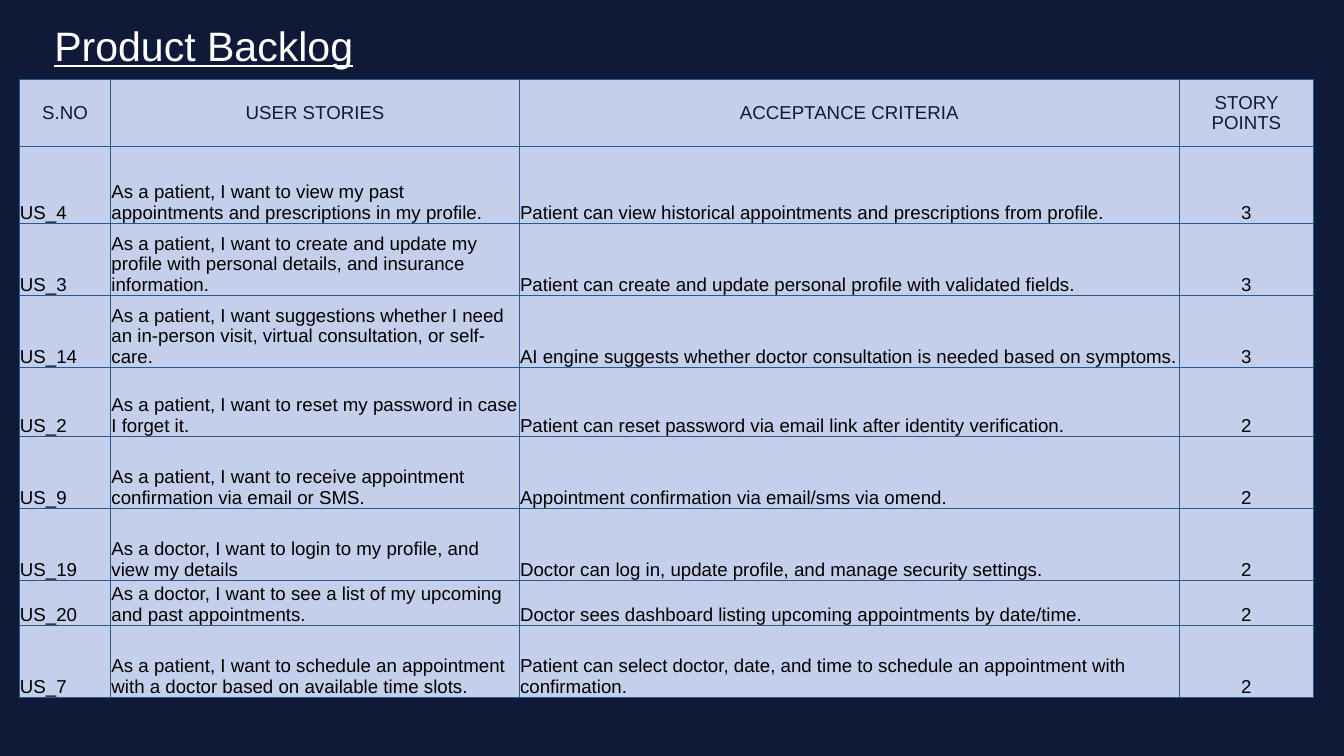
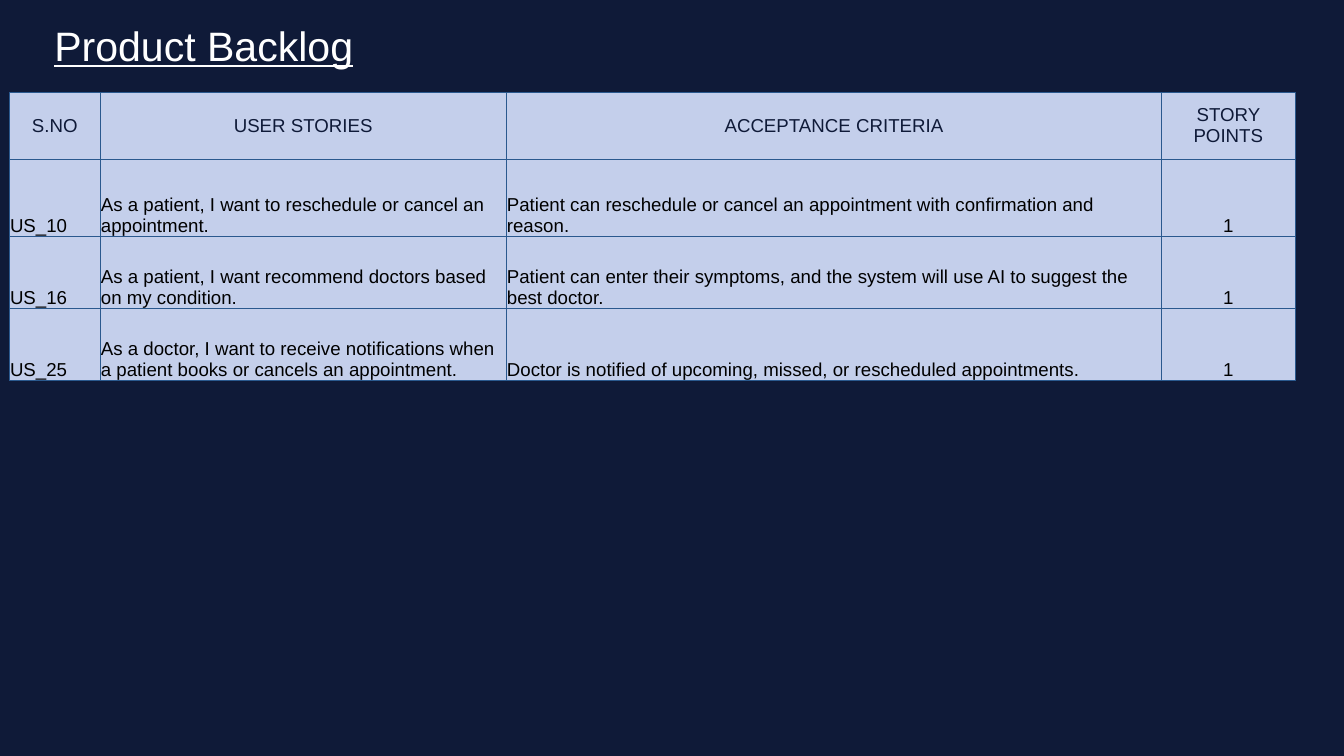
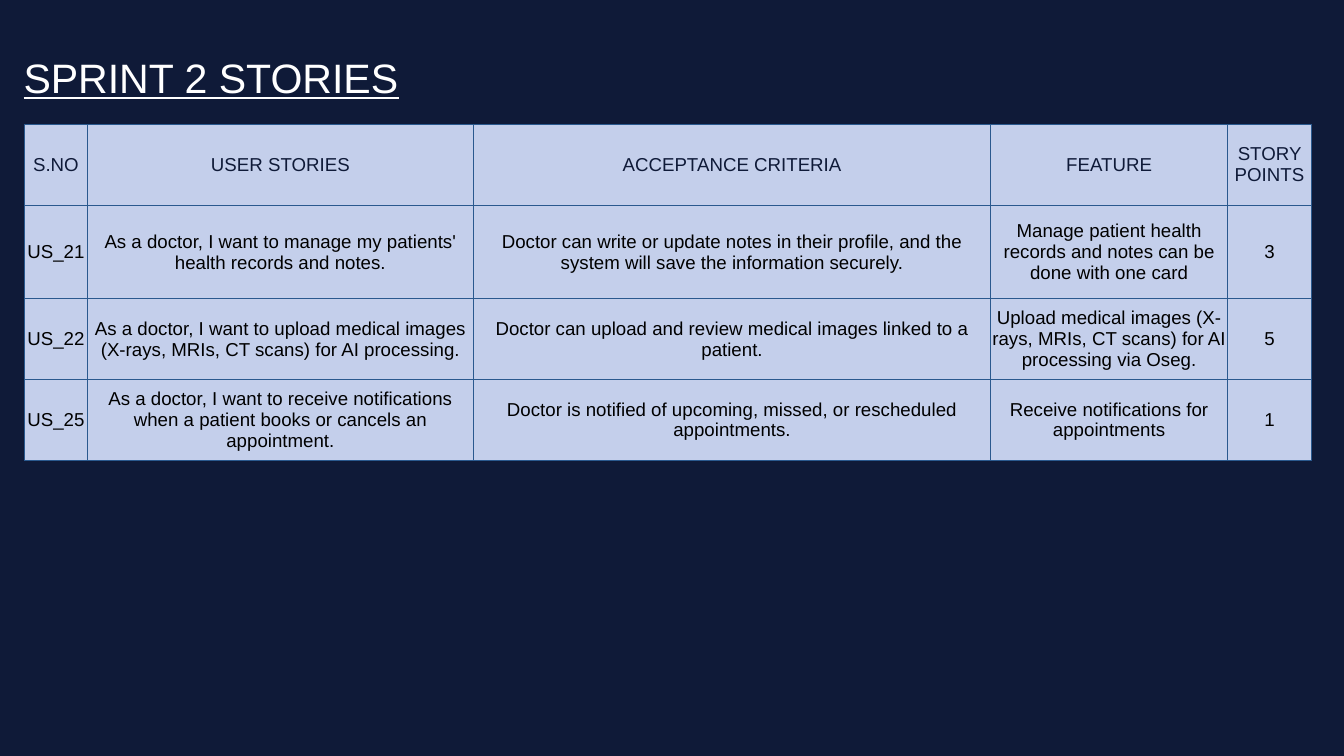
"""Build three dark slides with backlog and sprint story tables."""
import pptx
import pptx.util
import pptx.dml.color
import pptx.enum.text
import pptx.oxml

Pt = pptx.util.Pt
RGB = pptx.dml.color.RGBColor
ALIGN = pptx.enum.text.PP_ALIGN
ANCHOR = pptx.enum.text.MSO_ANCHOR

NAVY = RGB(0x0F, 0x1A, 0x38)
PALE = RGB(0xC4, 0xCF, 0xEB)
BLUE = RGB(0x2A, 0x59, 0x8E)
WHITE = RGB(0xFF, 0xFF, 0xFF)
BLACK = RGB(0, 0, 0)

TITLE_FONT = {"name": "Arial", "size": Pt(44), "underline": True, "bold": False}
CELL_FONT = {"name": "Arial", "size": Pt(20), "bold": False}
SIDES = ("margin_left", "margin_right", "margin_top", "margin_bottom")
HEAD_PAD = dict.fromkeys(SIDES, Pt(0))
BODY_PAD = dict.fromkeys(SIDES, Pt(0.72)) | {"margin_bottom": Pt(0)}
NS = "http://schemas.openxmlformats.org/drawingml/2006/main"

HEADS = ["S.NO", "USER STORIES", "ACCEPTANCE CRITERIA", "STORY POINTS"]
NOTIFY = ("As a doctor, I want to receive notifications when a patient "
          "books or cancels an appointment.")
ALERT = "Doctor is notified of upcoming, missed, or rescheduled appointments."

SLIDES = [
    {
        "title": "Product Backlog", "box": (0, -9.4, 437, 116),
        "mid": True, "spot": (20.7, 85), "center": False,
        "cols": [98, 437.8, 707, 144],
        "rows": [72, 82.6, 77.2, 77.2, 73.6, 77.2, 77.2, 48.2, 77.2],
        "cells": [
            HEADS,
            ["US_4",
             "As a patient, I want to view my past appointments and prescriptions in my profile.",
             "Patient can view historical appointments and prescriptions from profile.", "3"],
            ["US_3",
             "As a patient, I want to create and update my profile with personal details, and insurance information.",
             "Patient can create and update personal profile with validated fields.", "3"],
            ["US_14",
             "As a patient, I want suggestions whether I need an in-person visit, virtual consultation, or self-care.",
             "AI engine suggests whether doctor consultation is needed based on symptoms.", "3"],
            ["US_2",
             "As a patient, I want to reset my password in case I forget it.",
             "Patient can reset password via email link after identity verification.", "2"],
            ["US_9",
             "As a patient, I want to receive appointment confirmation via email or SMS.",
             "Appointment confirmation via email/sms via omend.", "2"],
            ["US_19",
             "As a doctor, I want to login to my profile, and view my details",
             "Doctor can log in, update profile, and manage security settings.", "2"],
            ["US_20",
             "As a doctor, I want to see a list of my upcoming and past appointments.",
             "Doctor sees dashboard listing upcoming appointments by date/time.", "2"],
            ["US_7",
             "As a patient, I want to schedule an appointment with a doctor based on available time slots.",
             "Patient can select doctor, date, and time to schedule an appointment with confirmation.", "2"],
        ],
    },
    {
        "title": "Product Backlog", "box": (0, -9.4, 437, 116),
        "mid": True, "spot": (10, 98.8), "center": False,
        "cols": [97.4, 435, 702.4, 142.6],
        "rows": [72, 82.6, 77.2, 77.2],
        "cells": [
            HEADS,
            ["US_10",
             "As a patient, I want to reschedule or cancel an appointment.",
             "Patient can reschedule or cancel an appointment with confirmation and reason.", "1"],
            ["US_16",
             "As a patient, I want recommend doctors based on my condition.",
             "Patient can enter their symptoms, and the system will use AI to suggest the best doctor.", "1"],
            ["US_25", NOTIFY, ALERT, "1"],
        ],
    },
    {
        "title": "SPRINT 2 STORIES", "box": (18, 24.5, 944.6, 116),
        "mid": False, "spot": (26, 133.2), "center": True,
        "cols": [67.8, 413.4, 554.4, 253.6, 90],
        "rows": [86.6, 100, 86.6, 86.6],
        "cells": [
            HEADS[:3] + ["FEATURE"] + HEADS[3:],
            ["US_21",
             "As a doctor, I want to manage my patients' health records and notes.",
             "Doctor can write or update notes in their profile, and the system will save the information securely.",
             "Manage patient health records and notes can be done with one card", "3"],
            ["US_22",
             "As a doctor, I want to upload medical images (X-rays, MRIs, CT scans) for AI processing.",
             "Doctor can upload and review medical images linked to a patient.",
             "Upload medical images (X-rays, MRIs, CT scans) for AI processing via Oseg.", "5"],
            ["US_25", NOTIFY, ALERT, "Receive notifications for appointments", "1"],
        ],
    },
]


def style(item, values):
    for key, value in values.items():
        setattr(item, key, value)


def edge(cell):
    props = cell._tc.get_or_add_tcPr()
    for side in ("lnL", "lnR", "lnT", "lnB"):
        props.append(pptx.oxml.parse_xml(
            f'<a:{side} xmlns:a="{NS}" w="{Pt(0.75)}"><a:solidFill>'
            f'<a:srgbClr val="{BLUE}"/></a:solidFill></a:{side}>'))


deck = pptx.Presentation()
style(deck, {"slide_width": Pt(1440), "slide_height": Pt(810)})
back = deck.slide_master.background.fill
back.solid()
back.fore_color.rgb = NAVY

for page in SLIDES:
    slide = deck.slides.add_slide(deck.slide_layouts[5])

    title = slide.shapes.title
    style(title, dict(zip(("left", "top", "width", "height"), map(Pt, page["box"]))))
    frame = title.text_frame
    frame.text = page["title"]
    style(frame, {"vertical_anchor": ANCHOR.MIDDLE, "word_wrap": True,
                  "auto_size": pptx.enum.text.MSO_AUTO_SIZE.NONE})
    para = frame.paragraphs[0]
    para.alignment = ALIGN.CENTER if page["mid"] else ALIGN.LEFT
    style(para.runs[0].font, TITLE_FONT)
    para.runs[0].font.color.rgb = WHITE

    cols, rows = page["cols"], page["rows"]
    left, top = page["spot"]
    table = slide.shapes.add_table(len(rows), len(cols), Pt(left), Pt(top),
                                   Pt(sum(cols)), Pt(sum(rows))).table
    style(table, {"first_row": False, "horz_banding": False})
    for col, width in zip(table.columns, cols):
        col.width = Pt(width)
    for row, height in zip(table.rows, rows):
        row.height = Pt(height)

    for r, line in enumerate(page["cells"]):
        for c, text in enumerate(line):
            cell = table.cell(r, c)
            head = r == 0
            edge(cell)
            cell.fill.solid()
            cell.fill.fore_color.rgb = PALE
            style(cell, HEAD_PAD if head else BODY_PAD)
            cell.vertical_anchor = ANCHOR.MIDDLE if head or page["center"] else ANCHOR.BOTTOM
            cell.text = text
            para = cell.text_frame.paragraphs[0]
            mid = head or page["center"] or c == len(cols) - 1
            para.alignment = ALIGN.CENTER if mid else ALIGN.LEFT
            style(para.runs[0].font, CELL_FONT)
            para.runs[0].font.color.rgb = NAVY if head else BLACK

deck.save("out.pptx")
